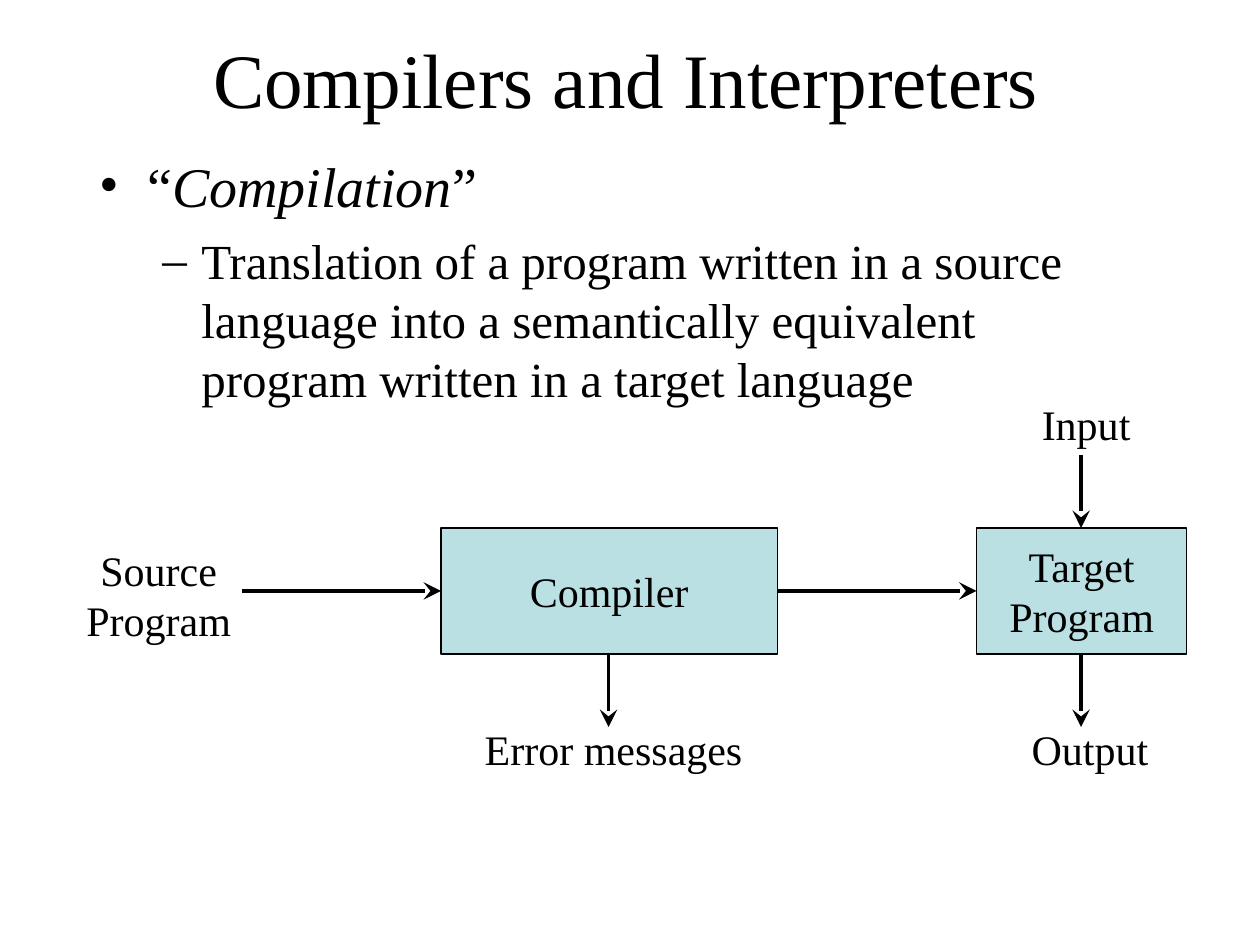
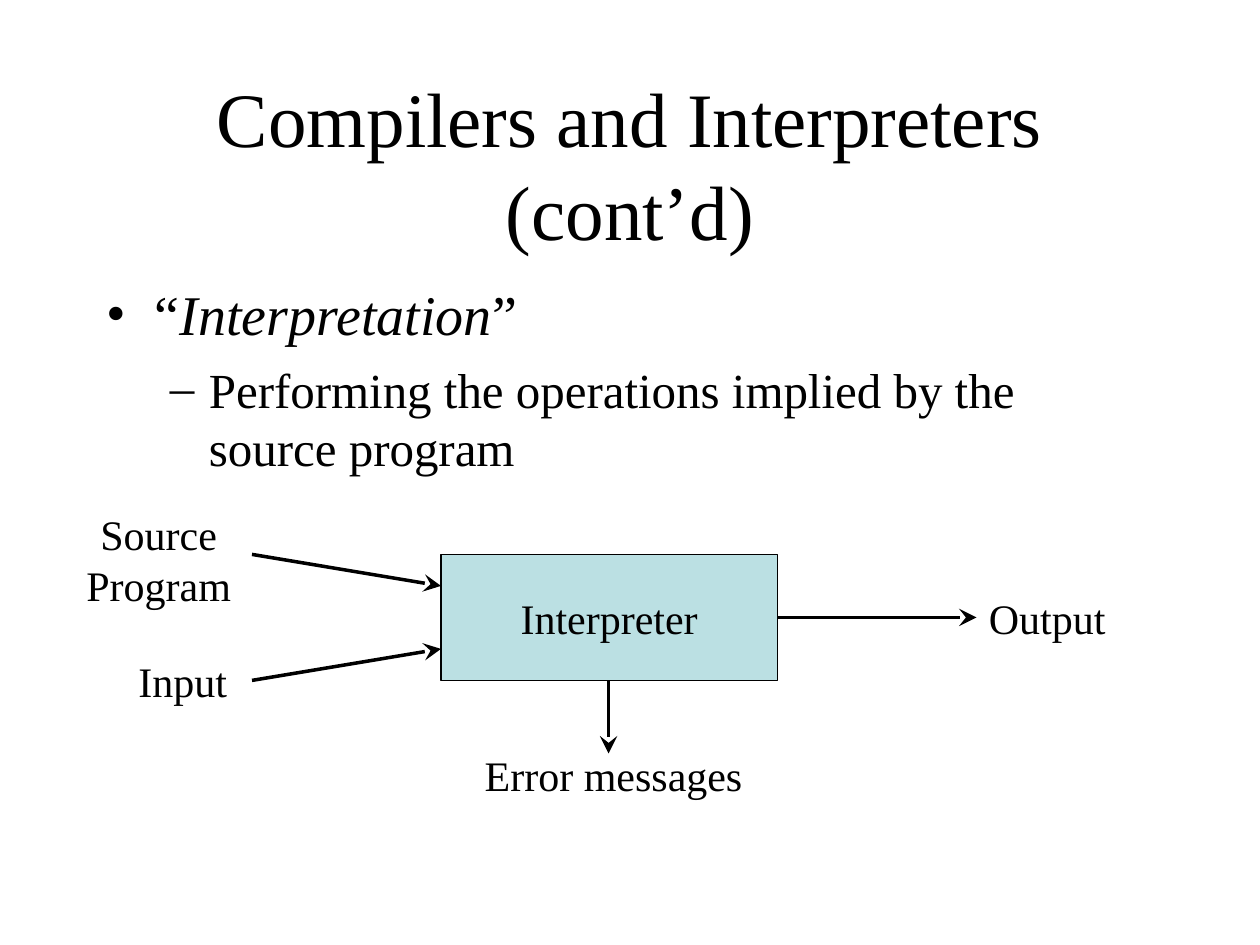
from dataclasses import dataclass

from lxml.etree import SubElement
from pptx import Presentation
from pptx.dml.color import RGBColor
from pptx.enum.shapes import MSO_CONNECTOR, MSO_SHAPE
from pptx.enum.text import MSO_ANCHOR, MSO_AUTO_SIZE, PP_ALIGN
from pptx.oxml.ns import qn
from pptx.slide import Slide
from pptx.text.text import TextFrame, _Paragraph
from pptx.util import Emu, Pt

PX = 9144  # 100 px to the inch
FONT = "Times New Roman"
BLACK = RGBColor(0x00, 0x00, 0x00)
PALE_TEAL = RGBColor(0xBB, 0xE0, 0xE3)

BODY_SIZE = (850, 450)
TITLE_SIZE = (850, 125)
STAGE_HEIGHT = 100
TRANSLATOR_LEFT, TRANSLATOR_WIDTH = 350, 267
TRANSLATOR_RIGHT = TRANSLATOR_LEFT + TRANSLATOR_WIDTH
TRANSLATOR_MIDDLE = 483
TARGET_LEFT, TARGET_WIDTH, TARGET_MIDDLE = 775, 167, 858
SHORT_ARROW = 58


@dataclass(frozen=True)
class Label:
    text: str
    left: int
    top: int
    width: int
    height: int = 50


@dataclass(frozen=True)
class Stage:
    text: str
    left: int
    top: int
    width: int


@dataclass(frozen=True)
class Arrow:
    start: tuple[int, int]
    end: tuple[int, int]


@dataclass(frozen=True)
class Topic:
    title: str
    title_at: tuple[int, int]
    term: str
    definition: str
    body_at: tuple[int, int]
    stages: list[Stage]
    labels: list[Label]
    arrows: list[Arrow]


def px(*lengths: int) -> list[Emu]:
    return [Emu(length * PX) for length in lengths]


def style_paragraph(paragraph: _Paragraph, size: int, align: PP_ALIGN) -> None:
    paragraph.alignment = align
    paragraph.font.name = FONT
    paragraph.font.size = Pt(size)
    paragraph.font.color.rgb = BLACK


def write_centred(frame: TextFrame, text: str, size: int) -> None:
    frame.text = text
    for paragraph in frame.paragraphs:
        style_paragraph(paragraph, size, PP_ALIGN.CENTER)


def add_title(slide: Slide, text: str, at: tuple[int, int]) -> None:
    title = slide.shapes.title
    title.left, title.top, title.width, title.height = px(*at, *TITLE_SIZE)
    frame = title.text_frame
    frame.auto_size = MSO_AUTO_SIZE.NONE
    frame.vertical_anchor = MSO_ANCHOR.MIDDLE
    write_centred(frame, text, 44)


def set_bullet(paragraph: _Paragraph, bullet: str, margin: int, hanging: int, before: int) -> None:
    paragraph.space_before = Pt(before)
    properties = paragraph._p.get_or_add_pPr()
    properties.set("marL", str(margin * PX))
    properties.set("indent", str(-hanging * PX))
    SubElement(properties, qn("a:buFont")).set("typeface", FONT)
    SubElement(properties, qn("a:buChar")).set("char", bullet)


def add_body(slide: Slide, term: str, definition: str, at: tuple[int, int]) -> None:
    frame = slide.shapes.add_textbox(*px(*at, *BODY_SIZE)).text_frame
    frame.word_wrap = True

    heading = frame.paragraphs[0]
    set_bullet(heading, "•", margin=38, hanging=38, before=8)
    style_paragraph(heading, 32, PP_ALIGN.LEFT)
    for text, italic in (("“", False), (term, True), ("”", False)):
        run = heading.add_run()
        run.text = text
        run.font.italic = italic

    detail = frame.add_paragraph()
    detail.level = 1
    set_bullet(detail, "–", margin=81, hanging=31, before=7)
    style_paragraph(detail, 28, PP_ALIGN.LEFT)
    detail.add_run().text = definition


def add_stage(slide: Slide, stage: Stage) -> None:
    box = slide.shapes.add_shape(
        MSO_SHAPE.RECTANGLE, *px(stage.left, stage.top, stage.width, STAGE_HEIGHT)
    )
    box.shadow.inherit = False
    box.fill.solid()
    box.fill.fore_color.rgb = PALE_TEAL
    box.line.color.rgb = BLACK
    box.line.width = Pt(0.75)
    box.text_frame.word_wrap = False
    box.text_frame.vertical_anchor = MSO_ANCHOR.MIDDLE
    write_centred(box.text_frame, stage.text, 24)


def add_label(slide: Slide, label: Label) -> None:
    box = slide.shapes.add_textbox(*px(label.left, label.top, label.width, label.height))
    box.text_frame.word_wrap = False
    box.text_frame.auto_size = MSO_AUTO_SIZE.NONE
    write_centred(box.text_frame, label.text, 24)


def add_arrow(slide: Slide, arrow: Arrow) -> None:
    connector = slide.shapes.add_connector(
        MSO_CONNECTOR.STRAIGHT, *px(*arrow.start, *arrow.end)
    )
    connector.line.color.rgb = BLACK
    connector.line.width = Pt(2)
    head = SubElement(connector.line._get_or_add_ln(), qn("a:tailEnd"))
    for name, value in (("type", "stealth"), ("w", "lg"), ("len", "lg")):
        head.set(name, value)
    SubElement(connector._element.spPr, qn("a:effectLst"))


def down_arrow(x: int, top: int) -> Arrow:
    return Arrow((x, top), (x, top + SHORT_ARROW))


def add_topic(presentation: Presentation, topic: Topic) -> None:
    slide = presentation.slides.add_slide(presentation.slide_layouts[5])
    add_title(slide, topic.title, topic.title_at)
    add_body(slide, topic.term, topic.definition, topic.body_at)
    for stage in topic.stages:
        add_stage(slide, stage)
    for arrow in topic.arrows:
        add_arrow(slide, arrow)
    for label in topic.labels:
        add_label(slide, label)


def compilation(top: int = 419) -> Topic:
    middle, bottom = top + STAGE_HEIGHT // 2, top + STAGE_HEIGHT
    return Topic(
        title="Compilers and Interpreters",
        title_at=(72, -1),
        term="Compilation",
        definition="Translation of a program written in a source language into "
        "a semantically equivalent program written in a target language",
        body_at=(69, 115),
        stages=[
            Stage("Compiler", TRANSLATOR_LEFT, top, TRANSLATOR_WIDTH),
            Stage("Target\nProgram", TARGET_LEFT, top, TARGET_WIDTH),
        ],
        labels=[
            Label("Source\nProgram", 56, 427, 140, 90),
            Label("Error messages", 372, bottom + 50, 230),
            Label("Input", 814, 311, 96),
            Label("Output", 806, bottom + 50, 118),
        ],
        arrows=[
            Arrow((192, middle), (TRANSLATOR_LEFT, middle)),
            Arrow((TRANSLATOR_RIGHT, middle), (TARGET_LEFT, middle)),
            down_arrow(TRANSLATOR_MIDDLE, bottom),
            down_arrow(TARGET_MIDDLE, top - SHORT_ARROW),
            down_arrow(TARGET_MIDDLE, bottom),
        ],
    )


def interpretation(top: int = 440) -> Topic:
    middle, bottom = top + STAGE_HEIGHT // 2, top + STAGE_HEIGHT
    return Topic(
        title="Compilers and Interpreters (cont’d)",
        title_at=(75, 67),
        term="Interpretation",
        definition="Performing the operations implied by the source program",
        body_at=(75, 217),
        stages=[Stage("Interpreter", TRANSLATOR_LEFT, top, TRANSLATOR_WIDTH)],
        labels=[
            Label("Source\nProgram", 56, 399, 140, 90),
            Label("Input", 97, 515, 96),
            Label("Output", 772, middle - 25, 118),
            Label("Error messages", 372, bottom + 50, 230),
        ],
        arrows=[
            Arrow((200, top), (TRANSLATOR_LEFT, middle - 25)),
            Arrow((200, bottom), (TRANSLATOR_LEFT, middle + 25)),
            Arrow((TRANSLATOR_RIGHT, middle), (TARGET_LEFT, middle)),
            down_arrow(TRANSLATOR_MIDDLE, bottom),
        ],
    )


def main() -> None:
    presentation = Presentation()
    presentation.slide_width, presentation.slide_height = px(1000, 750)
    for topic in (compilation(), interpretation()):
        add_topic(presentation, topic)
    presentation.save("out.pptx")


if __name__ == "__main__":
    main()
